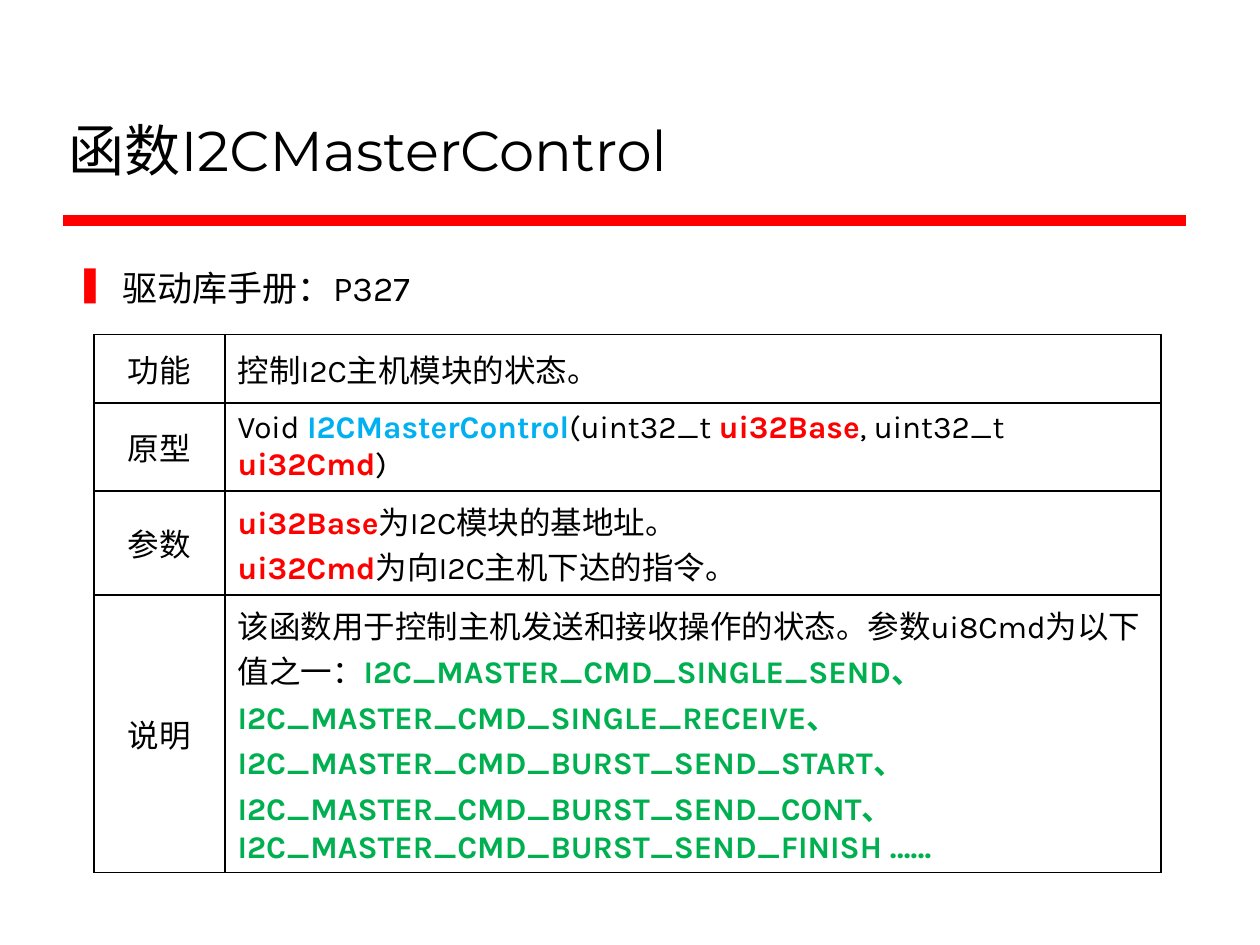
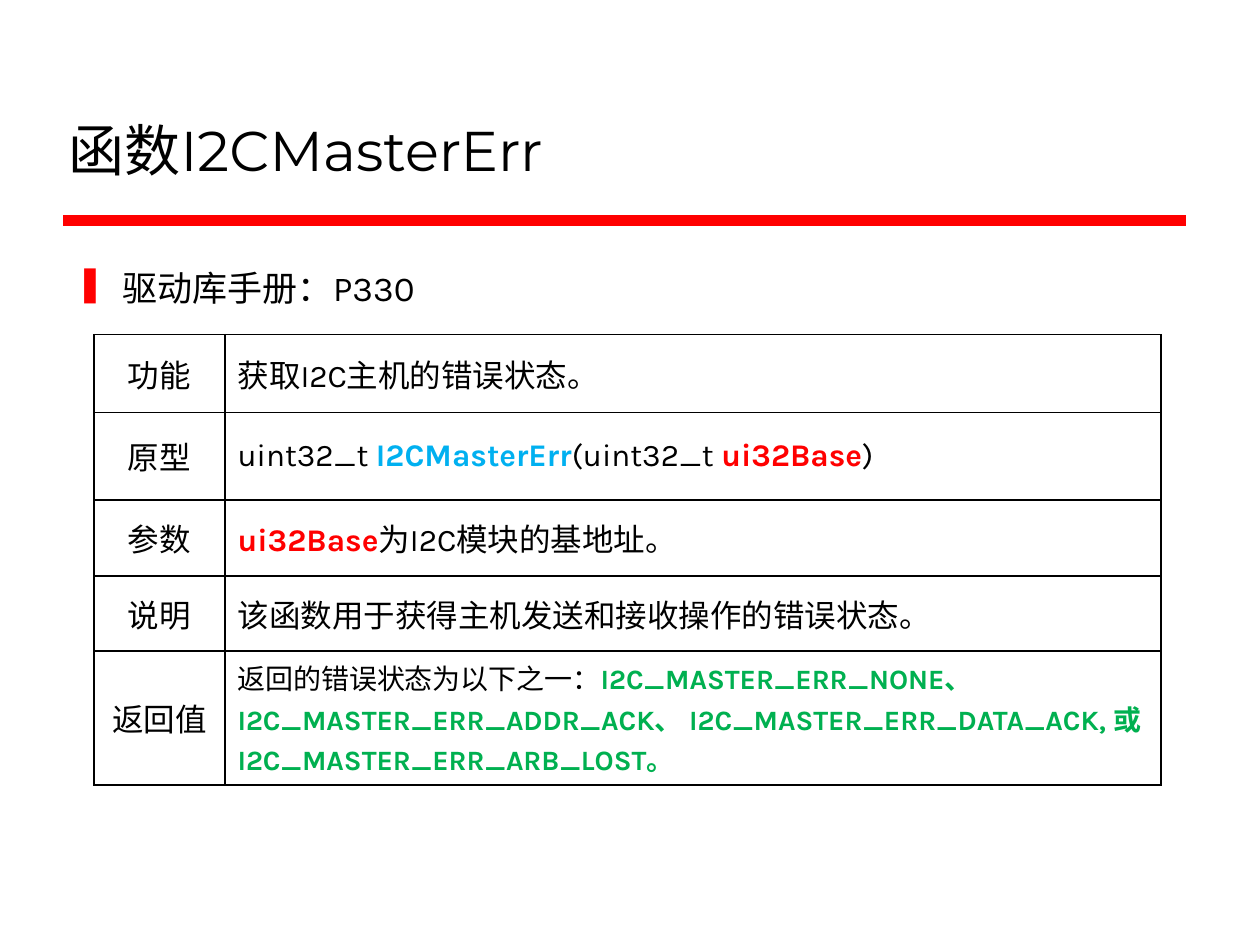
from pptx import Presentation
from pptx.dml.color import RGBColor
from pptx.enum.shapes import MSO_CONNECTOR
from pptx.enum.text import MSO_ANCHOR, PP_ALIGN
from pptx.oxml import parse_xml
from pptx.oxml.ns import nsdecls
from pptx.util import Pt

STRAIGHT = MSO_CONNECTOR.STRAIGHT
CENTER, LEFT = PP_ALIGN.CENTER, PP_ALIGN.LEFT
MIDDLE, BOTTOM = MSO_ANCHOR.MIDDLE, MSO_ANCHOR.BOTTOM

BLACK, RED, BLUE, GREEN = "000000", "FF0000", "00B0F0", "00B050"
HEAD_FONT, BODY_FONT = "Montserrat", "Karla"
COL_WIDTHS = [75, 535]

# Each row: label, height, text size, paragraphs made of (text, colour) runs;
# coloured runs are bold.
PAGES = [
    ("函数I2CMasterControl", "驱动库手册：P327", [
        ("功能", 39, 18, [[("控制I2C主机模块的状态。", BLACK)]]),
        ("原型", 49.5, 18, [[("Void ", BLACK), ("I2CMasterControl", BLUE),
                           ("(uint32_t ", BLACK), ("ui32Base", RED),
                           (", uint32_t ", BLACK), ("ui32Cmd", RED), (")", BLACK)]]),
        ("参数", 59.5, 18, [[("ui32Base", RED), ("为I2C模块的基地址。", BLACK)],
                          [("ui32Cmd", RED), ("为向I2C主机下达的指令。", BLACK)]]),
        ("说明", 158.5, 18, [
            [("该函数用于控制主机发送和接收操作的状态。参数ui8Cmd为以下值之一：", BLACK),
             ("I2C_MASTER_CMD_SINGLE_SEND、", GREEN)],
            [("I2C_MASTER_CMD_SINGLE_RECEIVE、", GREEN)],
            [("I2C_MASTER_CMD_BURST_SEND_START、", GREEN)],
            [("I2C_MASTER_CMD_BURST_SEND_CONT、", GREEN)],
            [("I2C_MASTER_CMD_BURST_SEND_FINISH ……", GREEN)]]),
    ]),
    ("函数I2CMasterErr", "驱动库手册：P330", [
        ("功能", 44.5, 18, [[("获取I2C主机的错误状态。", BLACK)]]),
        ("原型", 50, 18, [[("uint32_t ", BLACK), ("I2CMasterErr", BLUE),
                         ("(uint32_t ", BLACK), ("ui32Base", RED), (")", BLACK)]]),
        ("参数", 43.5, 18, [[("ui32Base", RED), ("为I2C模块的基地址。", BLACK)]]),
        ("说明", 43, 18, [[("该函数用于获得主机发送和接收操作的错误状态。", BLACK)]]),
        ("返回值", 76.5, 16, [
            [("返回的错误状态为以下之一：", BLACK), ("I2C_MASTER_ERR_NONE、", GREEN)],
            [("I2C_MASTER_ERR_ADDR_ACK、 I2C_MASTER_ERR_DATA_ACK, "
              "或I2C_MASTER_ERR_ARB_LOST。", GREEN)]]),
    ]),
]


def add_run(p, text, size=18, color=BLACK, font=BODY_FONT, bold=False):
    r = p.add_run()
    r.text = text
    r.font.size, r.font.name, r.font.bold = Pt(size), font, bold
    r.font.color.rgb = RGBColor.from_string(color)


def add_text_box(s, left, top, width, height):
    """Add a wrapping text box and return its text frame."""
    tf = s.shapes.add_textbox(Pt(left), Pt(top), Pt(width), Pt(height)).text_frame
    tf.word_wrap = True
    return tf


prs = Presentation()
prs.slide_width, prs.slide_height = Pt(720), Pt(540)

for title, reference, rows in PAGES:
    s = prs.slides.add_slide(prs.slide_layouts[6])

    rule = s.shapes.add_connector(STRAIGHT, Pt(36), Pt(126), Pt(678), Pt(126))
    rule.line.color.rgb = RGBColor.from_string(RED)
    rule.line.width = Pt(6)
    rule._element.spPr.append(parse_xml(f"<a:effectLst {nsdecls('a')}/>"))

    tf = add_text_box(s, 32, 18, 646, 90)
    tf.vertical_anchor = BOTTOM
    add_run(tf.paragraphs[0], title, size=32, font=HEAD_FONT)

    p = add_text_box(s, 36, 148.5, 644, 328).paragraphs[0]
    p.space_before = Pt(4)
    add_run(p, reference, size=20)
    pPr = p._p.get_or_add_pPr()
    pPr.set("marL", str(Pt(27)))
    pPr.set("indent", str(Pt(-27)))
    pPr.append(parse_xml(f'<a:buClr {nsdecls("a")}><a:srgbClr val="{RED}"/></a:buClr>'))
    pPr.append(parse_xml(f'<a:buChar {nsdecls("a")} char="❚"/>'))

    table = s.shapes.add_table(len(rows), 2, Pt(53.6), Pt(191.2), Pt(sum(COL_WIDTHS)),
                               Pt(sum(row[1] for row in rows))).table
    table.first_row = table.horz_banding = False
    for column, width in zip(table.columns, COL_WIDTHS):
        column.width = Pt(width)

    for i, (label, height, size, paragraphs) in enumerate(rows):
        table.rows[i].height = Pt(height)
        for j, content in enumerate([[[(label, BLACK)]], paragraphs]):
            cell = table.cell(i, j)
            cell.vertical_anchor = MIDDLE
            tcPr = cell._tc.get_or_add_tcPr()
            for side in "LRTB":
                tcPr.append(parse_xml(
                    f'<a:ln{side} {nsdecls("a")} w="{Pt(1)}"><a:solidFill>'
                    f'<a:srgbClr val="{BLACK}"/></a:solidFill></a:ln{side}>'))
            cell.fill.background()
            for k, runs in enumerate(content):
                p = cell.text_frame.paragraphs[0] if k == 0 else cell.text_frame.add_paragraph()
                p.alignment = LEFT if j else CENTER
                if i == 0 and j == 1:
                    p.space_before = p.space_after = Pt(6)
                for text, color in runs:
                    add_run(p, text, size=size if j else 18, color=color, bold=color != BLACK)

prs.save("out.pptx")
